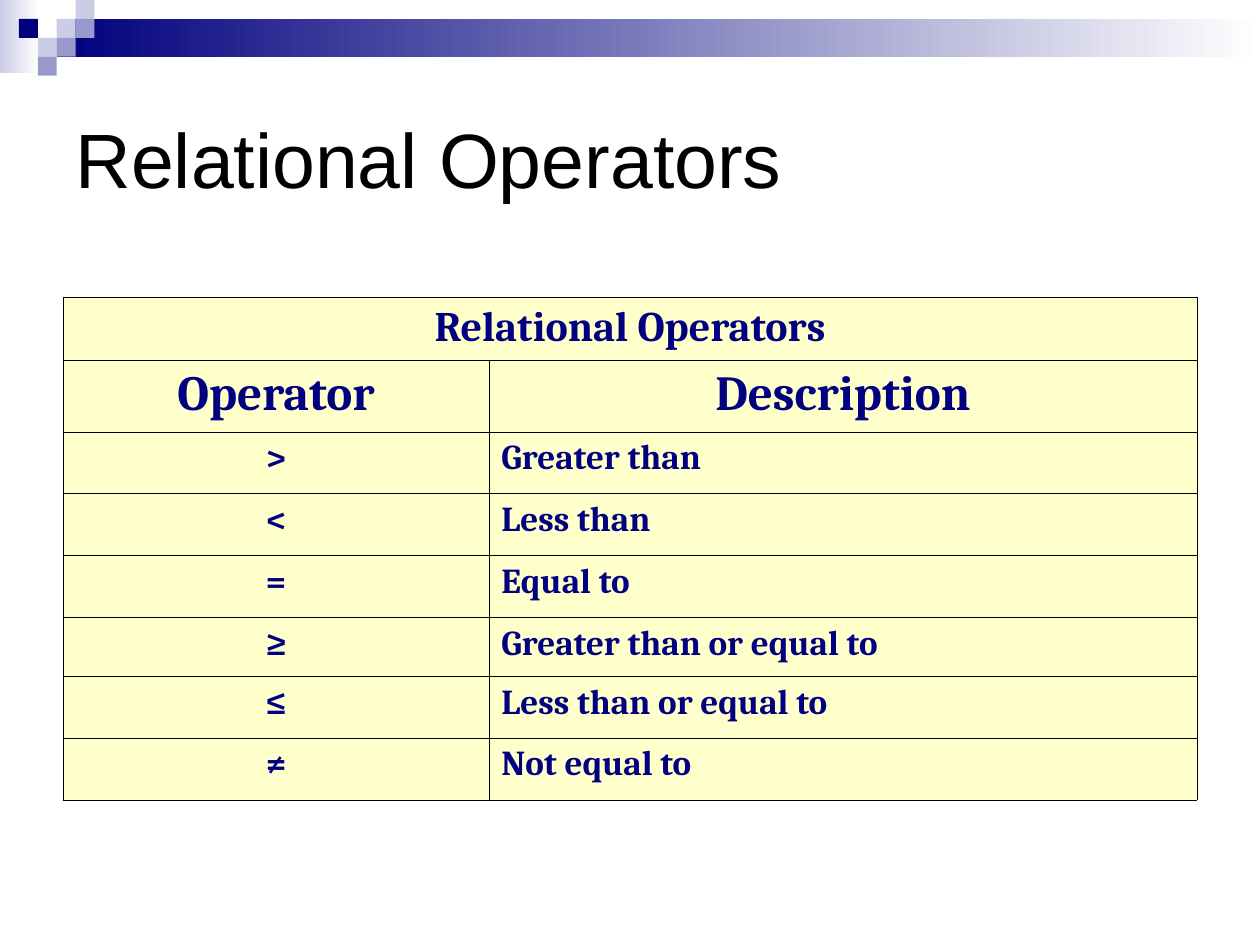
from lxml import etree
from pptx import Presentation
from pptx.dml.color import RGBColor
from pptx.enum.shapes import MSO_SHAPE
from pptx.enum.text import MSO_ANCHOR, PP_ALIGN
from pptx.oxml.ns import qn
from pptx.util import Inches, Pt

RECTANGLE = MSO_SHAPE.RECTANGLE
MIDDLE = MSO_ANCHOR.MIDDLE
LEFT, CENTER = PP_ALIGN.LEFT, PP_ALIGN.CENTER
TITLE_ONLY = 5

TITLE = "Relational Operators"
CAPTION = "Relational Operators"
HEADINGS = ("Operator", "Description")
OPERATORS = [
    (">", "Greater than"),
    ("<", "Less than"),
    ("=", "Equal to"),
    ("≥", "Greater than or equal to"),
    ("≤", "Less than or equal to"),
    ("≠", "Not equal to"),
]

THEME = {
    "title_font": "Arial", "table_font": "Cambria",
    "title_size": 44, "caption_size": 24, "heading_size": 28, "body_size": 20,
    "black": "000000", "white": "FFFFFF", "table_text": "000080",
    "table_fill": "FFFFCC", "navy": "00007D", "pale": "CCCCE6", "mid": "9999CC",
    "border_width": 0.45,
}

# Left, top, width, height and starting colour of each fade to white
BANDS = [(0, 0, 0.31, 0.58, "pale"), (0.45, 0.15, 9.55, 0.3, "navy")]
# Column, row and colour on a grid of small squares
SQUARE = 0.15
SQUARES = [
    (3, 1, "pale"), (4, 0, "pale"), (4, 1, "mid"), (2, 2, "pale"),
    (1, 1, "navy"), (3, 2, "mid"), (2, 3, "mid"),
]

TABLE_BOX = (0.5, 2.36, 9, 3.98)
COLUMN_WIDTHS = (3.38, 5.62)
ROW_HEIGHTS = (0.5, 0.57, 0.49, 0.49, 0.49, 0.47, 0.49, 0.49)
HANGING = 0.38


def color(name):
    return RGBColor.from_string(THEME[name])


def style_font(font, family, size, color_name, bold=False):
    font.name = THEME[family]
    font.size = Pt(THEME[size])
    font.color.rgb = color(color_name)
    font.bold = bold


def add_rectangle(page, left, top, width, height):
    box = page.shapes.add_shape(
        RECTANGLE, Inches(left), Inches(top), Inches(width), Inches(height))
    box.shadow.inherit = False
    box.line.fill.background()
    return box


def add_decoration(page):
    for *place, start in BANDS:
        fill = add_rectangle(page, *place).fill
        fill.gradient()
        fill.gradient_angle = 0
        for stop, position, name in zip(fill.gradient_stops, (0, 1), (start, "white")):
            stop.position = position
            stop.color.rgb = color(name)
    for column, row, name in SQUARES:
        box = add_rectangle(page, column * SQUARE, row * SQUARE, SQUARE, SQUARE)
        box.fill.solid()
        box.fill.fore_color.rgb = color(name)


def add_title(page):
    title = page.shapes.title
    title.left, title.top = Inches(0.5), Inches(0.5)
    title.width, title.height = Inches(9), Inches(1.5)
    title.text_frame.text = TITLE
    title.text_frame.vertical_anchor = MIDDLE
    para = title.text_frame.paragraphs[0]
    para.alignment = LEFT
    style_font(para.runs[0].font, "title_font", "title_size", "black")


def set_borders(cell):
    properties = cell._tc.get_or_add_tcPr()
    for position, side in enumerate(("lnL", "lnR", "lnT", "lnB")):
        line = etree.Element(qn(f"a:{side}"), w=str(Pt(THEME["border_width"])))
        fill = etree.SubElement(line, qn("a:solidFill"))
        etree.SubElement(fill, qn("a:srgbClr"), val=THEME["black"])
        properties.insert(position, line)


def fill_cell(cell, text, size, alignment):
    cell.fill.solid()
    cell.fill.fore_color.rgb = color("table_fill")
    set_borders(cell)
    cell.text_frame.text = text
    para = cell.text_frame.paragraphs[0]
    para.alignment = alignment
    indents = para._p.get_or_add_pPr()
    indents.set("marL", str(Inches(HANGING)))
    indents.set("indent", str(Inches(-HANGING)))
    for span in para.runs:
        style_font(span.font, "table_font", size, "table_text", bold=True)


def add_operator_table(page):
    rows = [(CAPTION, ""), HEADINGS, *OPERATORS]
    sizes = ["caption_size", "heading_size"] + ["body_size"] * len(OPERATORS)
    table = page.shapes.add_table(
        len(rows), len(HEADINGS), *map(Inches, TABLE_BOX)).table
    for column, width in zip(table.columns, COLUMN_WIDTHS):
        column.width = Inches(width)
    for row, height in zip(table.rows, ROW_HEIGHTS):
        row.height = Inches(height)
    for r, (texts, size) in enumerate(zip(rows, sizes)):
        for c, text in enumerate(texts):
            is_description = c == 1 and size == "body_size"
            fill_cell(table.cell(r, c), text, size, LEFT if is_description else CENTER)
    table.cell(0, 0).merge(table.cell(0, 1))


def main():
    deck = Presentation()
    deck.slide_width, deck.slide_height = Inches(10), Inches(7.5)
    page = deck.slides.add_slide(deck.slide_layouts[TITLE_ONLY])
    add_decoration(page)
    add_title(page)
    add_operator_table(page)
    deck.save("out.pptx")


if __name__ == "__main__":
    main()
